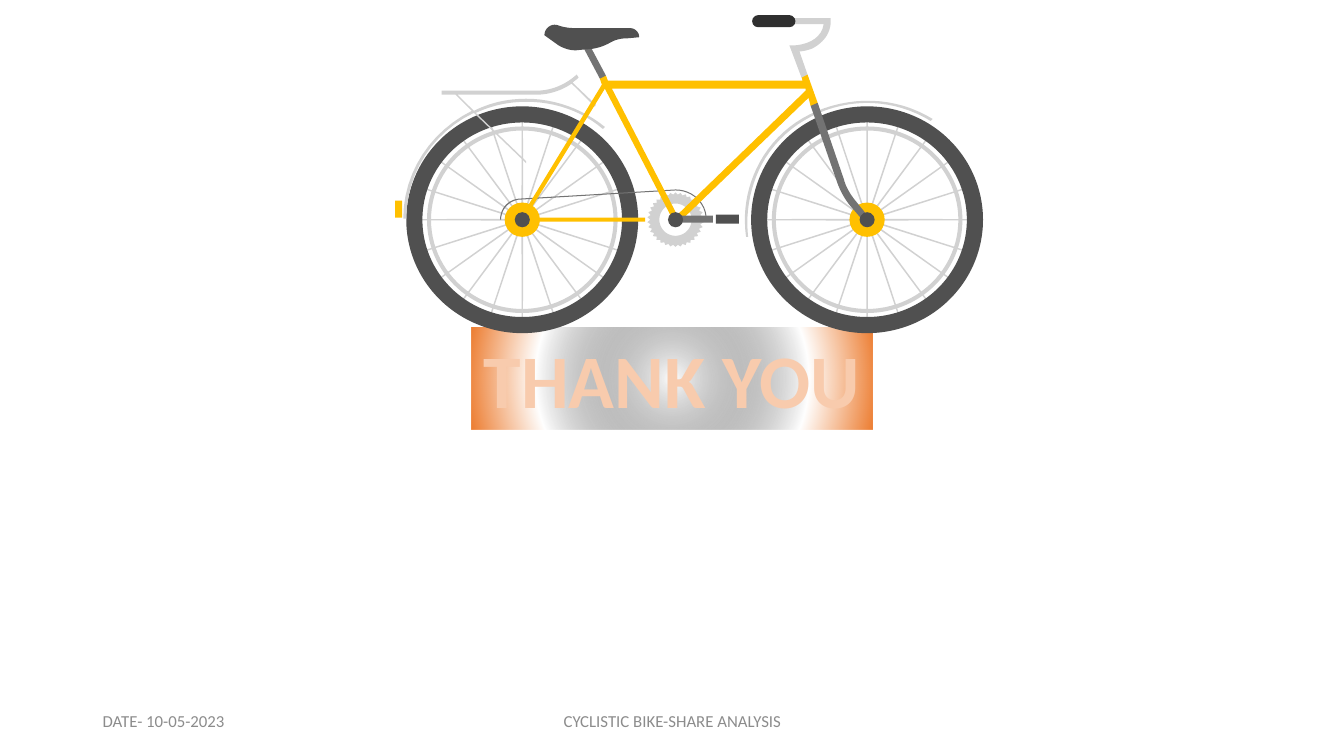
"""Build the closing slide: a bicycle above a thank-you banner."""
from math import cos, pi, sin

from pptx import Presentation
from pptx.dml.color import RGBColor
from pptx.enum.shapes import MSO_SHAPE
from pptx.enum.text import MSO_ANCHOR, MSO_AUTO_SIZE, PP_ALIGN
from pptx.oxml import parse_xml
from pptx.oxml.ns import nsdecls, qn
from pptx.util import Inches, Pt

COLORS = {"light": "D1D1D1", "tyre": "505050", "steel": "737373", "frame": "FFC000",
          "grip": "2F2F2F", "footer": "8C8C8C", "peach": "F8CBAD", "orange": "ED7D31"}
WIDTH, HEIGHT = 13.33, 7.5
FOOTERS = [("DATE- 10-05-2023", 0.92, 3, PP_ALIGN.LEFT),
           ("CYCLISTIC BIKE-SHARE ANALYSIS", 4.42, 4.5, PP_ALIGN.CENTER)]
BANNER = ("THANK YOU", (4.68, 3.25, 3.97, 1.01))
GRADIENT_STOPS = [(0, "000000", 0), (66, "FFFFFF", 100), (100, COLORS["orange"], 100)]

AXLE_Y = 2.18
REAR_X, CRANK_X, FRONT_X = 5.18, 6.7, 8.6
SPOKES, TEETH, CURVE_STEPS = 20, 34, 12

FRONT_MUDGUARD = [[(7.4, 2.35), (7.36, 2.07, 7.42, 1.79, 7.57, 1.55),
                   (7.74, 1.28, 8.01, 1.1, 8.33, 1.03), (8.65, 0.96, 8.97, 1.01, 9.25, 1.18),
                   (9.23, 1.2), (8.97, 1.04, 8.65, 0.98, 8.34, 1.05),
                   (8.03, 1.12, 7.76, 1.3, 7.59, 1.57), (7.45, 1.8, 7.39, 2.08, 7.42, 2.35)]]
REAR_RACK = [[(5.22, 0.98), (5.03, 0.98, 4.86, 1.02, 4.7, 1.1), (4.54, 0.94), (5.32, 0.94),
              (5.44, 0.94, 5.57, 0.9, 5.67, 0.83), (5.9, 1.06), (5.91, 1.04), (5.68, 0.82),
              (5.7, 0.8, 5.72, 0.79, 5.74, 0.77), (5.72, 0.74),
              (5.61, 0.84, 5.47, 0.9, 5.32, 0.9), (4.38, 0.9), (4.38, 0.94), (4.52, 0.94),
              (4.68, 1.1), (4.28, 1.3, 4, 1.7, 4, 2.17), (4.03, 2.17),
              (4.03, 1.71, 4.3, 1.31, 4.7, 1.12), (5.22, 1.62), (5.22, 1.6), (4.72, 1.12),
              (4.87, 1.05, 5.04, 1.01, 5.22, 1.01), (5.5, 1.01, 5.77, 1.1, 5.98, 1.28),
              (6, 1.26), (5.78, 1.08, 5.5, 0.98, 5.22, 0.98)]]
CHAIN = [[(6.7, 1.88), (5.17, 1.97), (5.05, 1.97, 4.96, 2.06, 4.96, 2.18), (4.97, 2.18),
          (4.97, 2.07, 5.06, 1.98, 5.17, 1.98), (6.7, 1.89),
          (6.87, 1.89, 7, 2.02, 7, 2.18), (7.01, 2.18), (7.01, 2.01, 6.87, 1.88, 6.7, 1.88)]]
FRAME = [[(8.01, 0.74), (7.99, 0.73, 7.95, 0.74, 7.95, 0.76), (7.96, 0.8), (6.03, 0.8),
          (6.01, 0.75), (5.99, 0.74, 5.95, 0.75, 5.95, 0.78), (5.97, 0.84), (5.25, 2.02),
          (5.18, 2.18), (5.28, 2.05), (6, 0.88), (6.7, 2.23), (6.71, 2.23), (8.02, 0.97),
          (8.04, 1.05), (8.06, 1.06, 8.11, 1.04, 8.11, 1.02)],
         [(6.73, 2.12), (6.71, 2.12), (6.07, 0.88), (7.99, 0.88), (7.99, 0.9)]]
FORK = [[(8.57, 2.2), (8.44, 2.05), (8.38, 1.98, 8.33, 1.89, 8.3, 1.8), (8.04, 1.05),
         (8.11, 1.02), (8.37, 1.78), (8.39, 1.86, 8.44, 1.94, 8.5, 2.01), (8.62, 2.16)]]
HANDLEBAR = [[(7.95, 0.77), (7.83, 0.45), (7.88, 0.45), (7.89, 0.45, 8.14, 0.44, 8.17, 0.24),
              (7.68, 0.24), (7.68, 0.18), (8.24, 0.18), (8.24, 0.21),
              (8.24, 0.33, 8.17, 0.42, 8.06, 0.48), (8.01, 0.5, 7.96, 0.51, 7.93, 0.51),
              (8.01, 0.74)]]
SEAT_POST = [[(5.78, 0.46), (5.84, 0.43), (6.01, 0.75), (5.95, 0.78)]]
SADDLE = [[(6.34, 0.37), (6.23, 0.38), (6.17, 0.38, 6.11, 0.39, 6.06, 0.42), (6.02, 0.44),
           (5.96, 0.47, 5.88, 0.49, 5.81, 0.49), (5.71, 0.5),
           (5.65, 0.5, 5.59, 0.48, 5.54, 0.45), (5.4, 0.35),
           (5.4, 0.28, 5.47, 0.23, 5.53, 0.25), (5.56, 0.26),
           (5.63, 0.28, 5.69, 0.28, 5.76, 0.28), (6.25, 0.28),
           (6.3, 0.28, 6.34, 0.32, 6.34, 0.37)]]


def polar(center_x, angle, radius_x, radius_y):
    return center_x + radius_x * cos(angle), AXLE_Y + radius_y * sin(angle)


def paint(shape, color):
    shape.shadow.inherit = False
    shape.fill.solid()
    shape.fill.fore_color.rgb = RGBColor.from_string(COLORS[color])
    shape.line.fill.background()
    return shape


def add_part(parts, kind, color, left, top, width, height, adjust=None):
    shape = parts.add_shape(kind, *map(Inches, (left, top, width, height)))
    if adjust is not None:
        shape.adjustments[0] = adjust
    return paint(shape, color)


def add_disc(parts, color, center_x, width, height, ring=None):
    kind = MSO_SHAPE.DONUT if ring else MSO_SHAPE.OVAL
    add_part(parts, kind, color, center_x - width / 2, AXLE_Y - height / 2,
             width, height, ring / height if ring else None)


def flatten(contour):
    points = [contour[0]]
    for step in contour[1:]:
        if len(step) == 2:
            points.append(step)
            continue
        corners = (points[-1], step[:2], step[2:4], step[4:])
        for index in range(1, CURVE_STEPS + 1):
            t = index / CURVE_STEPS
            u = 1 - t
            weights = (u ** 3, 3 * u * u * t, 3 * u * t * t, t ** 3)
            points.append(tuple(sum(weight * corner[axis] for weight, corner
                                    in zip(weights, corners)) for axis in (0, 1)))
    return points


def add_outline(parts, color, contours):
    builder = None
    for contour in contours:
        points = [(Inches(x), Inches(y)) for x, y in flatten(contour)]
        if builder is None:
            builder = parts.build_freeform(*points[0])
        else:
            builder.move_to(*points[0])
        builder.add_line_segments(points[1:], close=True)
    paint(builder.convert_to_shape(), color)


def add_wheel(parts, center_x):
    star = []
    for spoke in range(SPOKES):
        angle = 2 * pi * spoke / SPOKES
        star += [polar(center_x, angle + turn, 1.01, 0.99) for turn in (-0.007, 0.007)]
        star.append(polar(center_x, angle + pi / SPOKES, 0.05, 0.05))
    add_outline(parts, "light", [star])
    add_disc(parts, "light", center_x, 1.89, 1.85, ring=0.04)
    add_disc(parts, "tyre", center_x, 2.3, 2.25, ring=0.16)


def add_chainring(parts):
    rim = []
    for tooth in range(TEETH):
        angle = 2 * pi * tooth / TEETH
        rim += [polar(CRANK_X, angle, 0.25, 0.25), polar(CRANK_X, angle + pi / TEETH, 0.28, 0.27)]
    hole = [polar(CRANK_X, -2 * pi * step / 48, 0.16, 0.16) for step in range(48)]
    add_outline(parts, "light", [rim, hole])


def write_text(shape, text, size, color, bold=False, align=PP_ALIGN.LEFT, wrap=True):
    frame = shape.text_frame
    frame.word_wrap, frame.vertical_anchor = wrap, MSO_ANCHOR.MIDDLE
    para = frame.paragraphs[0]
    para.alignment = align
    span = para.add_run()
    span.text = text
    span.font.name, span.font.size, span.font.bold = "Calibri", Pt(size), bold
    span.font.color.rgb = RGBColor.from_string(COLORS[color])
    return span


def add_banner(page):
    text, bounds = BANNER
    box = add_part(page.shapes, MSO_SHAPE.RECTANGLE, "orange", *bounds)
    stops = "".join(f'<a:gs pos="{place * 1000}"><a:srgbClr val="{color}">'
                    f'<a:alpha val="{alpha * 1000}"/></a:srgbClr></a:gs>'
                    for place, color, alpha in GRADIENT_STOPS)
    properties = box._element.spPr
    properties.replace(properties.find(qn("a:solidFill")), parse_xml(
        f'<a:gradFill {nsdecls("a")}><a:gsLst>{stops}</a:gsLst><a:path path="circle">'
        '<a:fillToRect l="50000" t="50000" r="50000" b="50000"/></a:path></a:gradFill>'))
    span = write_text(box, text, 54, "peach", bold=True, align=PP_ALIGN.CENTER, wrap=False)
    box.text_frame.auto_size = MSO_AUTO_SIZE.SHAPE_TO_FIT_TEXT
    span._r.get_or_add_rPr().insert(0, parse_xml(
        f'<a:ln {nsdecls("a")} w="{int(Pt(1.75))}"><a:solidFill>'
        f'<a:srgbClr val="{COLORS["orange"]}"/></a:solidFill></a:ln>'))


def add_bicycle(page):
    parts = page.shapes.add_group_shape().shapes
    for center_x in (REAR_X, FRONT_X):
        add_wheel(parts, center_x)
    add_outline(parts, "light", FRONT_MUDGUARD)
    add_outline(parts, "light", REAR_RACK)
    add_part(parts, MSO_SHAPE.RECTANGLE, "frame", 3.92, 1.99, 0.07, 0.17)
    add_chainring(parts)
    add_outline(parts, "steel", CHAIN)
    for center_x in (REAR_X, FRONT_X):
        add_disc(parts, "frame", center_x, 0.35, 0.34)
    add_part(parts, MSO_SHAPE.RECTANGLE, "frame", 5.34, 2.16, 1.06, 0.04)
    add_outline(parts, "frame", FRAME)
    add_outline(parts, "steel", FORK)
    add_part(parts, MSO_SHAPE.RECTANGLE, "tyre", 7.1, 2.13, 0.23, 0.09)
    add_part(parts, MSO_SHAPE.RECTANGLE, "steel", CRANK_X, 2.14, 0.37, 0.07)
    for center_x in (CRANK_X, REAR_X, FRONT_X):
        add_disc(parts, "tyre", center_x, 0.15, 0.15)
    add_outline(parts, "light", HANDLEBAR)
    add_part(parts, MSO_SHAPE.ROUNDED_RECTANGLE, "grip", 7.46, 0.15, 0.43, 0.12, 0.5)
    add_outline(parts, "steel", SEAT_POST)
    add_outline(parts, "tyre", SADDLE)


deck = Presentation()
deck.slide_width, deck.slide_height = Inches(WIDTH), Inches(HEIGHT)
page = deck.slides.add_slide(deck.slide_layouts[6])
for text, left, width, align in FOOTERS:
    box = page.shapes.add_textbox(*map(Inches, (left, 6.95, width, 0.4)))
    write_text(box, text, 12, "footer", align=align)
add_banner(page)
add_bicycle(page)
deck.save("out.pptx")
